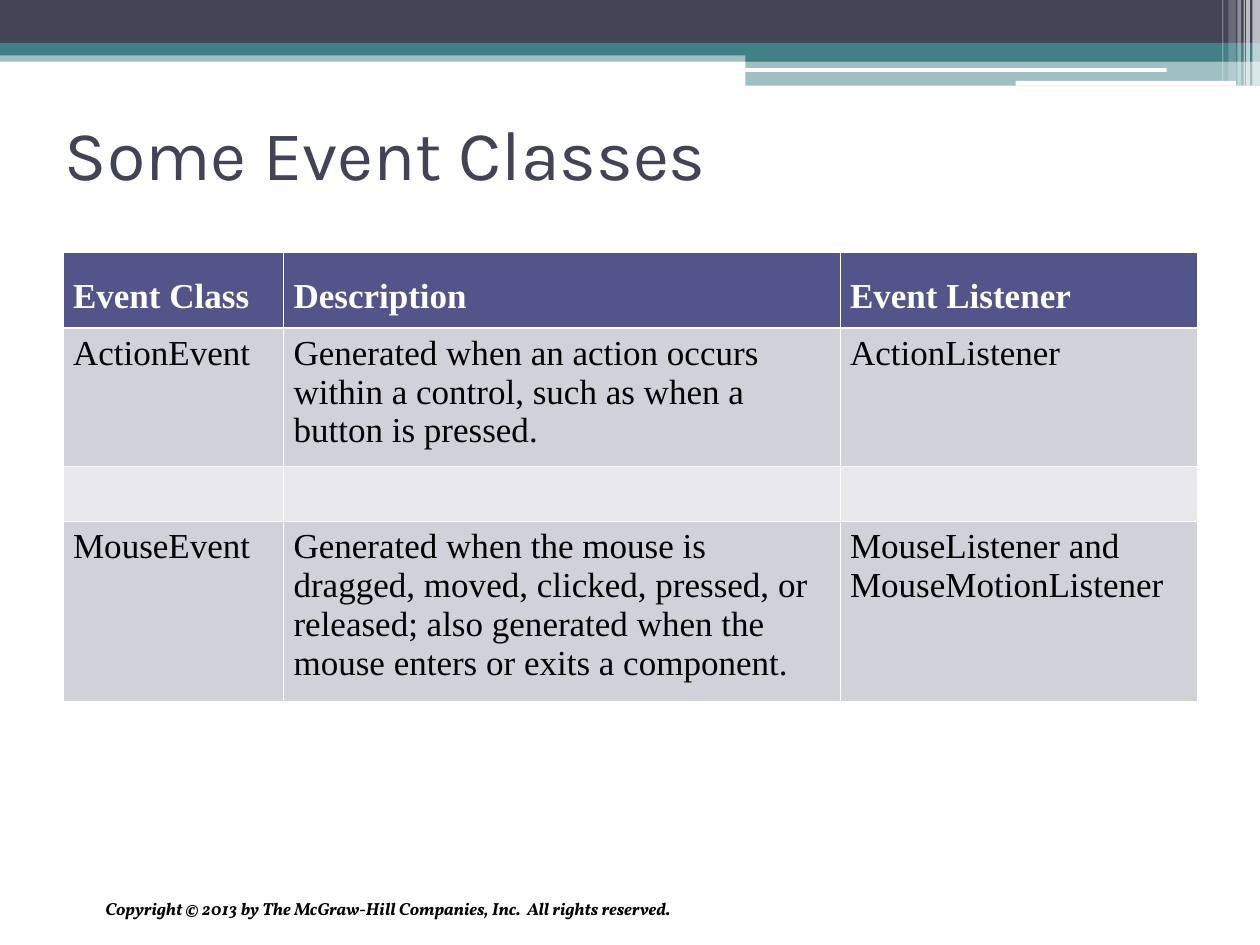
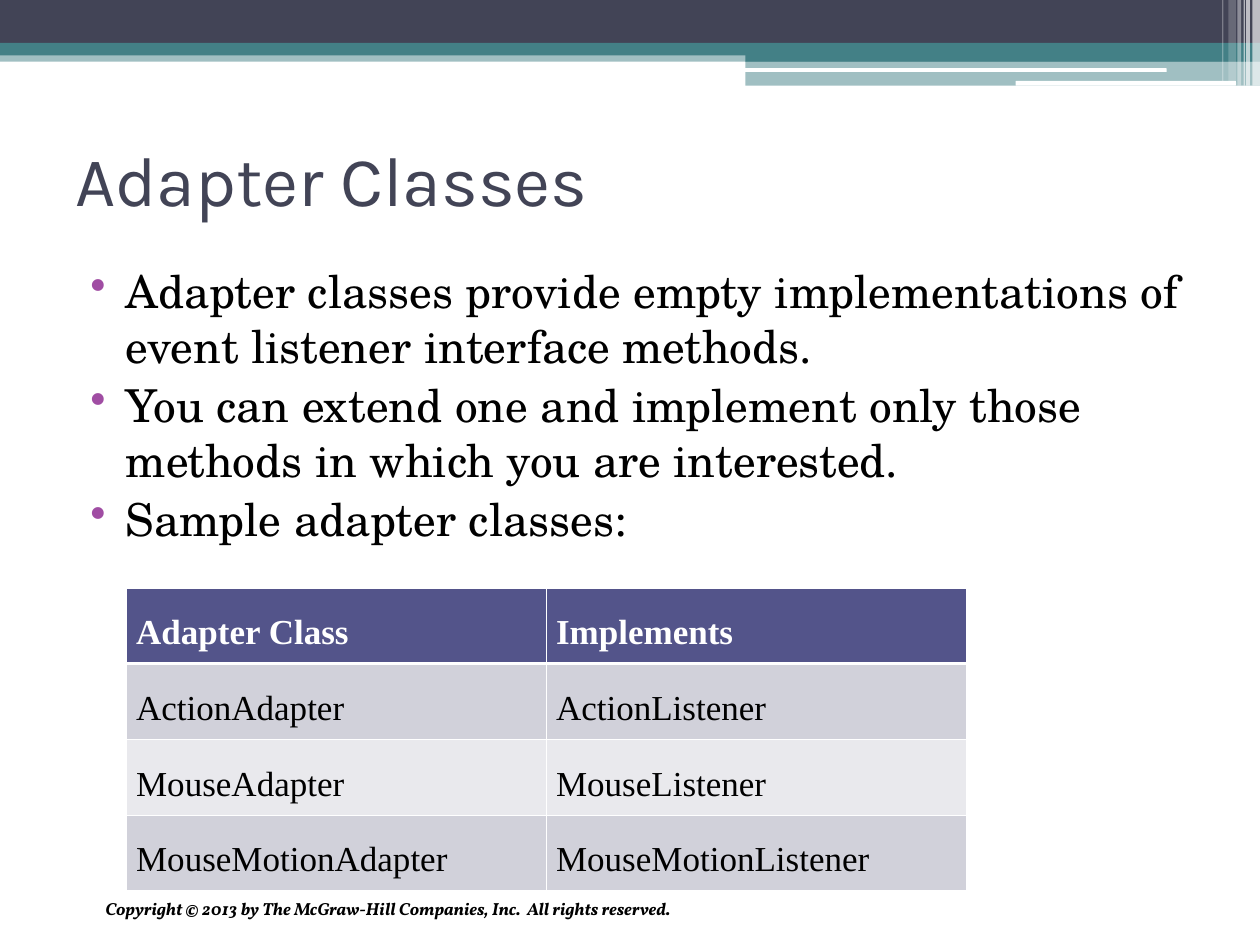
from collections import namedtuple

from lxml import etree
from pptx import Presentation
from pptx import util as u
from pptx.dml.color import RGBColor
from pptx.enum import shapes, text
from pptx.oxml import ns

COLS, ROWS = 120, 90
UNIT = u.Inches(10) // COLS

NAVY = RGBColor(0x42, 0x44, 0x56)
TEAL = RGBColor(0x43, 0x80, 0x86)
WHITE = RGBColor(0xFF, 0xFF, 0xFF)
BLACK = RGBColor(0, 0, 0)
INDIGO = RGBColor(0x53, 0x54, 0x8A)
GREY = RGBColor(0xD1, 0xD1, 0xDA)
PALE = RGBColor(0xE9, 0xE9, 0xED)
PURPLE = RGBColor(0xA0, 0x4D, 0xA3)

HEAD, BODY, CELL, FOOT = "Karla", "TeX Gyre Schola", "Times New Roman", "Vollkorn"
NOTICE = "Copyright © 2013 by The McGraw-Hill Companies, Inc.  All rights reserved."

Box = namedtuple("Box", "left top width height")
BANNER = Box(0, 0, COLS, 8.16)
FOOTER = Box(4, 85, 61, 5)

# left, top, width, height, colour, opacity in percent
BANDS = [
    (0, 4.8, COLS, 1.08, TEAL, 50),
    (0, 0, COLS, 4.08, NAVY, 100),
    (0, 4.08, COLS, 1.2, TEAL, 100),
    (71, 4.68, 49, 1.2, TEAL, 100),
    (71, 5.8, 49, 2.36, TEAL, 50),
]
PILLS = [(70.92, 6.5, 40.2, 0.36), (96.72, 7.7, 21, 0.46)]
# left, width, height, opacity in percent
STRIPES = [
    (119.28, 0.72, 8.16, 65),
    (118.68, 0.36, 8.16, 65),
    (118.44, 0.12, 8.16, 60),
    (117.84, 0.36, 8.16, 40),
    (117, 0.72, 7.7, 20),
    (116.4, 0.12, 7.7, 30),
]


def place(box):
    """Turn grid columns and rows into slide lengths."""
    return [u.Emu(round(n * UNIT)) for n in box]


def style(para, font, size, color, bold=False, italic=False):
    para.font.name = font
    para.font.size = u.Pt(size)
    para.font.color.rgb = color
    para.font.bold, para.font.italic = bold, italic


def add_bar(slide, box, color, alpha=100, kind=shapes.MSO_SHAPE.RECTANGLE):
    bar = slide.shapes.add_shape(kind, *place(box))
    bar.shadow.inherit = False
    bar.line.fill.background()
    bar.fill.solid()
    bar.fill.fore_color.rgb = color
    if alpha < 100:
        tone = bar.fill._xPr.find(".//" + ns.qn("a:srgbClr"))
        etree.SubElement(tone, ns.qn("a:alpha"), val=str(alpha * 1000))


def add_banner(slide, box):
    def inner(x, y, w, h):
        return Box(box.left + x, box.top + y, w, h)

    for *spot, color, alpha in BANDS:
        add_bar(slide, inner(*spot), color, alpha)
    for spot in PILLS:
        add_bar(slide, inner(*spot), WHITE, kind=shapes.MSO_SHAPE.ROUNDED_RECTANGLE)
    for x, w, h, alpha in STRIPES:
        add_bar(slide, inner(x, 0, w, h), WHITE, alpha)


def add_text(slide, box, lines):
    frame = slide.shapes.add_textbox(*place(box)).text_frame
    frame.word_wrap = True
    frame.text = "\n".join(lines)
    return frame


def add_title(slide, box, words):
    frame = add_text(slide, box, [words])
    frame.vertical_anchor = text.MSO_ANCHOR.MIDDLE
    style(frame.paragraphs[0], HEAD, 40, NAVY)


def add_footer(slide, box):
    frame = add_text(slide, box, [NOTICE])
    frame.margin_top = frame.margin_bottom = u.Inches(0.04)
    para = frame.paragraphs[0]
    para.alignment = text.PP_ALIGN.RIGHT
    style(para, FOOT, 10, BLACK, bold=True, italic=True)


def add_bullets(slide, box, lines):
    frame = add_text(slide, box, lines)
    for i, para in enumerate(frame.paragraphs):
        if i:
            para.space_before = u.Pt(3)
        props = para._p.get_or_add_pPr()
        props.set("marL", str(u.Inches(0.4)))
        props.set("indent", str(-u.Inches(0.28)))
        tint = etree.SubElement(props, ns.qn("a:buClr"))
        etree.SubElement(tint, ns.qn("a:srgbClr"), val=str(PURPLE))
        etree.SubElement(props, ns.qn("a:buChar"), char="•")
        style(para, BODY, 25.9, BLACK)


def add_edges(cell, row):
    """Draw white borders, thicker between the header and the first row."""
    props = cell._tc.get_or_add_tcPr()
    thick = {"lnB": row == 0, "lnT": row == 1}
    for i, side in enumerate(("lnL", "lnR", "lnT", "lnB")):
        width = u.Pt(1.47 if thick.get(side) else 0.45)
        line = etree.Element(ns.qn("a:" + side), w=str(width))
        fill = etree.SubElement(line, ns.qn("a:solidFill"))
        etree.SubElement(fill, ns.qn("a:srgbClr"), val=str(WHITE))
        props.insert(i, line)


def add_grid(slide, box, widths, heights, data, loose):
    """Add a table; its first `loose` rows have wide line spacing."""
    table = slide.shapes.add_table(len(data), len(widths), *place(box)).table
    for col, width in zip(table.columns, widths):
        col.width = u.Emu(round(box.width * width / sum(widths) * UNIT))
    for row, height in zip(table.rows, heights):
        row.height = u.Emu(round(height * UNIT))
    for r, words in enumerate(data):
        for c, word in enumerate(words):
            cell = table.cell(r, c)
            cell.margin_left = cell.margin_right = u.Inches(0.08)
            cell.fill.solid()
            cell.fill.fore_color.rgb = INDIGO if r == 0 else GREY if r % 2 else PALE
            add_edges(cell, r)
            cell.text = word
            para = cell.text_frame.paragraphs[0]
            if word:
                para.space_after = u.Pt(6)
            if r < loose:
                para.line_spacing = 1.5
            style(para, CELL, 20, BLACK if r else WHITE, bold=r == 0)


def start(deck, box, words):
    """Add a slide with the shared banner, title and footer."""
    slide = deck.slides.add_slide(deck.slide_layouts[6])
    add_banner(slide, BANNER)
    add_title(slide, box, words)
    add_footer(slide, FOOTER)
    return slide


def add_events(deck):
    slide = start(deck, Box(5, 9, 111, 11), "Some Event Classes")
    data = [
        ("Event Class", "Description", "Event Listener"),
        ("ActionEvent",
         "Generated when an action occurs within a control, such as when a "
         "button is pressed.",
         "ActionListener"),
        ("", "", ""),
        ("MouseEvent",
         "Generated when the mouse is dragged, moved, clicked, pressed, or "
         "released; also generated when the mouse enters or exits a component.",
         "MouseListener and MouseMotionListener"),
    ]
    add_grid(slide, Box(6, 24, 108, 38.8), (21, 53, 34), (6, 12, 4.8, 16), data, 1)


def add_adapters(deck):
    slide = start(deck, Box(6, 10, 108, 14), "Adapter Classes")
    add_bullets(slide, Box(6, 24.5, 108, 29.5), [
        "Adapter classes provide empty implementations of event listener "
        "interface methods.",
        "You can extend one and implement only those methods in which you are "
        "interested.",
        "Sample adapter classes:",
    ])
    data = [
        ("Adapter Class", "Implements"),
        ("ActionAdapter", "ActionListener"),
        ("MouseAdapter", "MouseListener"),
        ("MouseMotionAdapter", "MouseMotionListener"),
    ]
    add_grid(slide, Box(12, 56, 80, 24), (1, 1), [6] * 4, data, len(data))


def main():
    deck = Presentation()
    deck.slide_width, deck.slide_height = COLS * UNIT, ROWS * UNIT
    add_events(deck)
    add_adapters(deck)
    deck.save("out.pptx")


if __name__ == "__main__":
    main()
